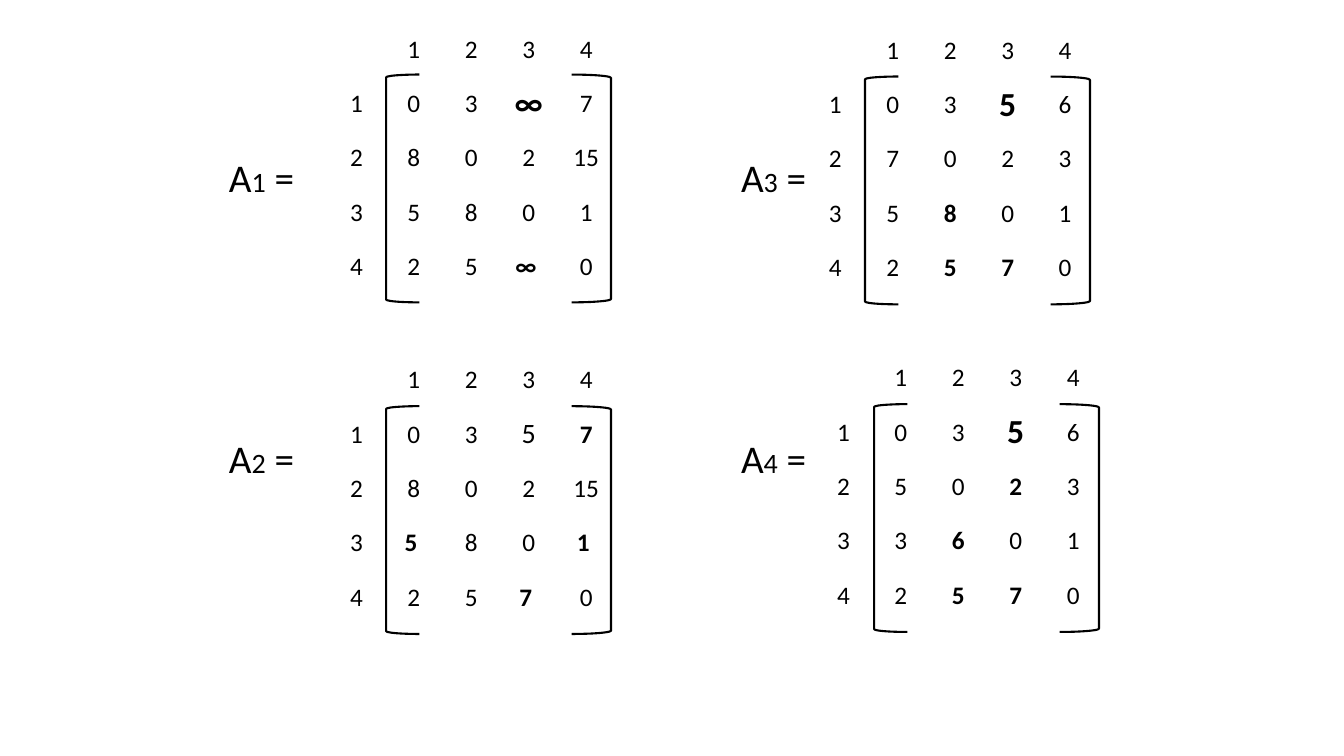
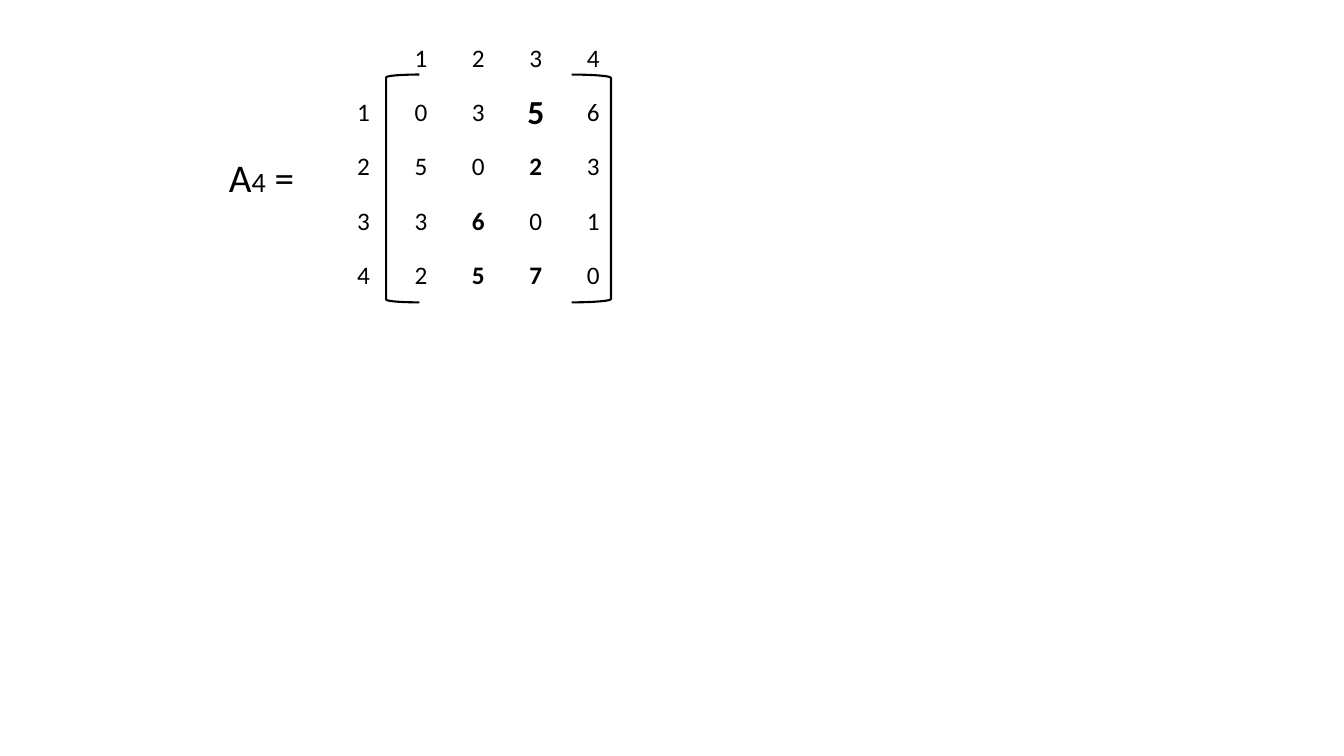
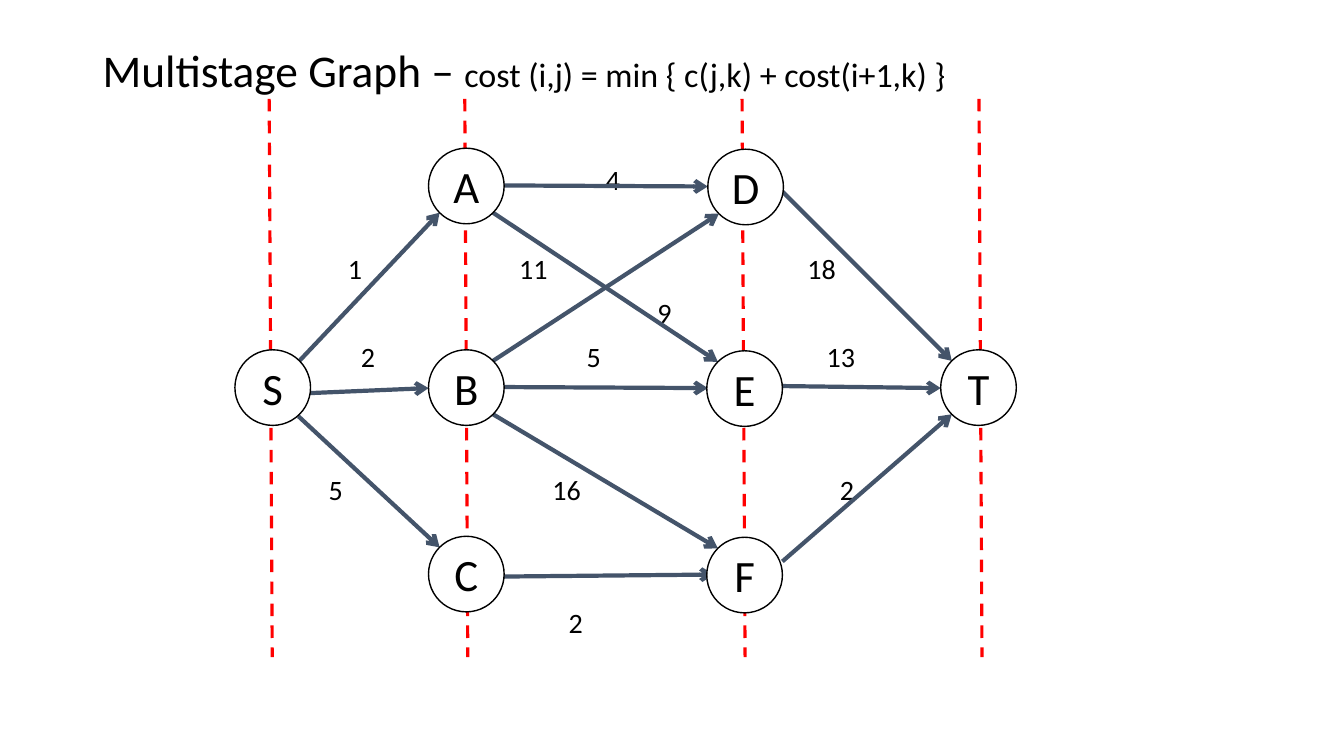
"""Build three slides: all-pairs shortest path matrices and a multistage graph."""
from lxml import etree
from pptx import Presentation
from pptx.dml.color import RGBColor
from pptx.enum.dml import MSO_LINE
from pptx.enum.shapes import MSO_CONNECTOR, MSO_SHAPE
from pptx.enum.text import MSO_ANCHOR, PP_ALIGN
from pptx.oxml.ns import qn
from pptx.util import Pt

PX = 9144
FONT = "Calibri"
BLACK = RGBColor(0, 0, 0)
WHITE = RGBColor(255, 255, 255)
RED = RGBColor(255, 0, 0)
SLATE = RGBColor(0x44, 0x54, 0x6A)


def write(frame, parts, align=PP_ALIGN.LEFT, bold=False):
    """Fill a text frame with one paragraph of (text, size) runs."""
    frame.vertical_anchor = MSO_ANCHOR.MIDDLE
    para = frame.paragraphs[0]
    para.alignment = align
    for text, size in parts:
        run = para.add_run()
        run.text = text
        run.font.name = FONT
        run.font.size = Pt(size)
        run.font.bold = bold
        run.font.color.rgb = BLACK


def line(slide, ends, color, width):
    """Draw a plain straight line between two points."""
    link = slide.shapes.add_connector(MSO_CONNECTOR.STRAIGHT, *[n * PX for n in ends])
    link.line.color.rgb = color
    link.line.width = Pt(width)
    etree.SubElement(link._element.spPr, qn("a:effectLst"))
    return link


deck = Presentation()
deck.slide_width = 1333 * PX
deck.slide_height = 750 * PX
first, second, third = [deck.slides.add_slide(deck.slide_layouts[6]) for _ in range(3)]

CELL_W, CELL_H = 57, 54
HEAD = ["", "1", "2", "3", "4"]
A1 = ["0,3,*∞,7", "8,0,2,15", "5,8,0,1", "2,5,*∞ ,0"]
A2 = ["0,3,5,*7", "8,0,2,15", "*5 ,8,0,*1 ", "2,5,*7 ,0"]
A3 = ["0,3,*5,6", "7,0,2,3", "5,*8,0,1", "2,*5,*7,0"]
A4 = ["0,3,*5,6", "5,0,*2,3", "3,*6,0,1", "2,*5,*7,0"]
grids = [
    (first, "1", A1, 24, (227, 150), (325, 22), (383, 74)),
    (first, "2", A2, 20, (227, 429), (325, 350), (383, 403)),
    (first, "3", A3, 24, (735, 150), (800, 23), (858, 76)),
    (first, "4", A4, 24, (735, 429), (808, 348), (867, 401)),
    (second, "4", A4, 24, (227, 150), (332, 31), (383, 74)),
]
for slide, index, rows, large, name, grid, edge in grids:
    box = slide.shapes.add_textbox(name[0] * PX, name[1] * PX, 80 * PX, 50 * PX)
    frame = box.text_frame
    frame.margin_left = frame.margin_right = 0
    write(frame, [("A", 28), (index, 20), (" =", 28)])

    table = slide.shapes.add_table(
        5, 5, grid[0] * PX, grid[1] * PX, 5 * CELL_W * PX, 5 * CELL_H * PX).table
    table.first_row = table.horz_banding = False
    values = [HEAD] + [[HEAD[i]] + row.split(",") for i, row in enumerate(rows, 1)]
    for r, row in enumerate(values):
        table.rows[r].height = CELL_H * PX
        table.columns[r].width = CELL_W * PX
        for c, text in enumerate(row):
            cell = table.cell(r, c)
            cell.fill.background()
            cell.vertical_anchor = MSO_ANCHOR.MIDDLE
            if text:
                size = large if (r, c) == (1, 3) else 18
                write(cell.text_frame, [(text.lstrip("*"), size)],
                      PP_ALIGN.CENTER, text.startswith("*"))

    for kind, shift, width in [(MSO_SHAPE.LEFT_BRACKET, 0, 33),
                               (MSO_SHAPE.RIGHT_BRACKET, 184, 39)]:
        side = slide.shapes.add_shape(
            kind, (edge[0] + shift) * PX, edge[1] * PX, width * PX, 226 * PX)
        side.shadow.inherit = False
        side.fill.background()
        side.line.color.rgb = BLACK
        side.line.width = Pt(1.5)

for left in (267, 461, 736, 971):
    stage = line(third, (left, 98, left + 3, 652), RED, 2.25)
    stage.line.dash_style = MSO_LINE.DASH

title = third.shapes.add_textbox(92 * PX, 40 * PX, 1150 * PX, 58 * PX)
title.text_frame.word_wrap = True
write(title.text_frame, [("Multistage Graph – ", 32.4),
                         ("cost (i,j) = min { c(j,k) + cost(i+1,k) }", 24.3)])

costs = [
    ("4", 608, 178), ("1", 352, 266), ("11", 529, 266), ("18", 815, 266),
    ("9", 659, 310), ("2", 365, 353), ("5", 589, 353), ("13", 834, 353),
    ("5", 333, 485), ("16", 562, 485), ("2", 840, 485), ("2", 571, 617),
]
COST_W, COST_H = 60, 44
for text, x, y in costs:
    box = third.shapes.add_textbox((x - COST_W // 2) * PX, (y - COST_H // 2) * PX,
                                   COST_W * PX, COST_H * PX)
    write(box.text_frame, [(text, 20)], PP_ALIGN.CENTER)

edges = [
    (297, 358, 436, 211), (307, 390, 425, 385), (296, 413, 436, 543),
    (500, 184, 702, 185), (489, 211, 712, 359), (489, 358, 713, 212),
    (500, 384, 702, 385), (489, 411, 712, 544), (500, 572, 708, 570),
    (775, 189, 944, 358), (776, 383, 933, 385), (776, 557, 944, 411),
]
for ends in edges:
    arrow = line(third, ends, SLATE, 3)
    etree.SubElement(arrow.line._get_or_add_ln(), qn("a:tailEnd"), type="arrow")

nodes = [
    ("S", 233, 347), ("A", 425, 147), ("B", 425, 347), ("C", 425, 532),
    ("D", 702, 148), ("E", 701, 348), ("F", 701, 533), ("T", 933, 347),
]
for text, x, y in nodes:
    node = third.shapes.add_shape(MSO_SHAPE.OVAL, x * PX, y * PX, 75 * PX, 75 * PX)
    node.shadow.inherit = False
    node.fill.solid()
    node.fill.fore_color.rgb = WHITE
    node.line.color.rgb = BLACK
    node.line.width = Pt(1)
    write(node.text_frame, [(text, 32)], PP_ALIGN.CENTER)

deck.save("out.pptx")
